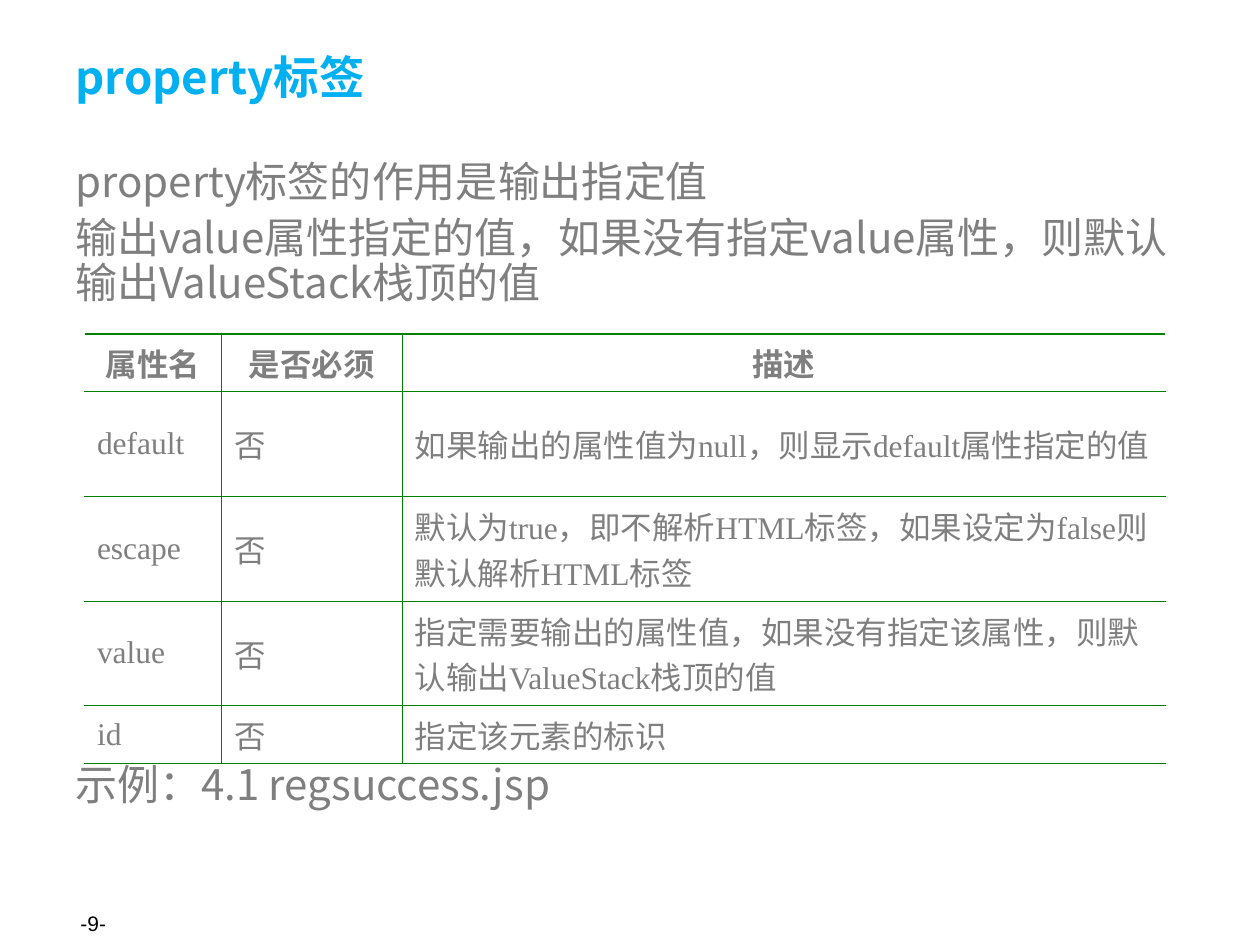
import pptx
import pptx.util
import pptx.dml.color
import pptx.enum.text
from lxml import etree
from pptx.oxml.ns import qn
from pptx.util import Inches, Pt

ALIGN = pptx.enum.text.PP_ALIGN
MIDDLE = pptx.enum.text.MSO_ANCHOR.MIDDLE
COLORS = {"title": "00B0F0", "text": "7F7F7F", "border": "008000", "number": "000000"}
SANS, SERIF = "Noto Sans CJK SC", "Times New Roman"

# Content
TITLE = "property标签"
INTRO = [
    "property标签的作用是输出指定值",
    "输出value属性指定的值，如果没有指定value属性，则默认输出ValueStack栈顶的值",
]
EXAMPLE = ["示例：4.1 regsuccess.jsp"]
PAGE_NUMBER = "-9-"
ROWS = [
    ("属性名", "是否必须", "描述"),
    ("default", "否", "如果输出的属性值为null，则显示default属性指定的值"),
    ("escape", "否", "默认为true，即不解析HTML标签，如果设定为false则默认解析HTML标签"),
    ("value", "否", "指定需要输出的属性值，如果没有指定该属性，则默认输出ValueStack栈顶的值"),
    ("id", "否", "指定该元素的标识"),
]
COLUMN_WIDTHS = [1.09, 1.43, 6.06]
ONE_LINE, TWO_LINES = 0.46, 0.83
ROW_HEIGHTS = [ONE_LINE, TWO_LINES, TWO_LINES, TWO_LINES, ONE_LINE]


def write(frame, lines, size, color="text", font=SANS, east_asian=SANS, bold=False,
          align=ALIGN.LEFT, spacing=None, gap=0, anchor=None):
    """Fill a text frame with one paragraph for each line."""
    frame.word_wrap = True
    if anchor is not None:
        frame.vertical_anchor = anchor
    for index, line in enumerate(lines):
        para = frame.add_paragraph() if index else frame.paragraphs[0]
        para.alignment = align
        if spacing:
            para.line_spacing = spacing
        para.space_before = Pt(gap if index else 0)
        span = para.add_run()
        span.text = line
        span.font.size = Pt(size)
        span.font.bold = bold
        span.font.name = font
        span.font.color.rgb = pptx.dml.color.RGBColor.from_string(COLORS[color])
        etree.SubElement(span.font._element, qn("a:ea"), typeface=east_asian)


def set_border(cell, side, width):
    line = etree.SubElement(cell._tc.get_or_add_tcPr(), qn("a:" + side), w=str(Pt(width)))
    fill = etree.SubElement(line, qn("a:solidFill"))
    etree.SubElement(fill, qn("a:srgbClr"), val=COLORS["border"])


def add_text(page, left, top, width, height, lines, size, **style):
    box = page.shapes.add_textbox(*map(Inches, (left, top, width, height)))
    write(box.text_frame, lines, size, **style)


deck = pptx.Presentation()
deck.slide_width, deck.slide_height = Inches(10), Inches(7.5)
page = deck.slides.add_slide(deck.slide_layouts[5])

# Title
title = page.shapes.title
title.left, title.top, title.width, title.height = map(Inches, (0.5, 0.3, 9, 0.61))
write(title.text_frame, [TITLE], 26, color="title", bold=True, anchor=MIDDLE)

# Text above and below the table
for top, height, lines in [(1.23, 1.3, INTRO), (6.02, 0.5, EXAMPLE)]:
    add_text(page, 0.5, top, 9.07, height, lines, 24, spacing=0.9, gap=6)

# Attribute table
table = page.shapes.add_table(
    len(ROWS), len(COLUMN_WIDTHS), Inches(0.67), Inches(2.65),
    Inches(sum(COLUMN_WIDTHS)), Inches(sum(ROW_HEIGHTS))).table
table.horz_banding = False
for column, width in zip(table.columns, COLUMN_WIDTHS):
    column.width = Inches(width)
for row, height in zip(table.rows, ROW_HEIGHTS):
    row.height = Inches(height)
last_row, last_column = len(ROWS) - 1, len(COLUMN_WIDTHS) - 1
for r, texts in enumerate(ROWS):
    for c, text in enumerate(texts):
        cell = table.cell(r, c)
        cell.vertical_anchor = MIDDLE
        cell.margin_left = cell.margin_right = Inches(0.1)
        cell.margin_top = cell.margin_bottom = Inches(0.05)
        write(cell.text_frame, [text], 18, font=SERIF, bold=r == 0,
              align=ALIGN.LEFT if r else ALIGN.CENTER)
        # Inner verticals only; heavier rules at the top and bottom edges
        if c > 0:
            set_border(cell, "lnL", 0.45)
        if c < last_column:
            set_border(cell, "lnR", 0.45)
        set_border(cell, "lnT", 0.45 if r else 1.08)
        set_border(cell, "lnB", 1.08 if r == last_row else 0.45)
        cell.fill.background()

# Page number
add_text(page, 0.54, 7.13, 2.33, 0.4, [PAGE_NUMBER], 12, color="number",
         font="Arial", anchor=MIDDLE)

deck.save("out.pptx")
